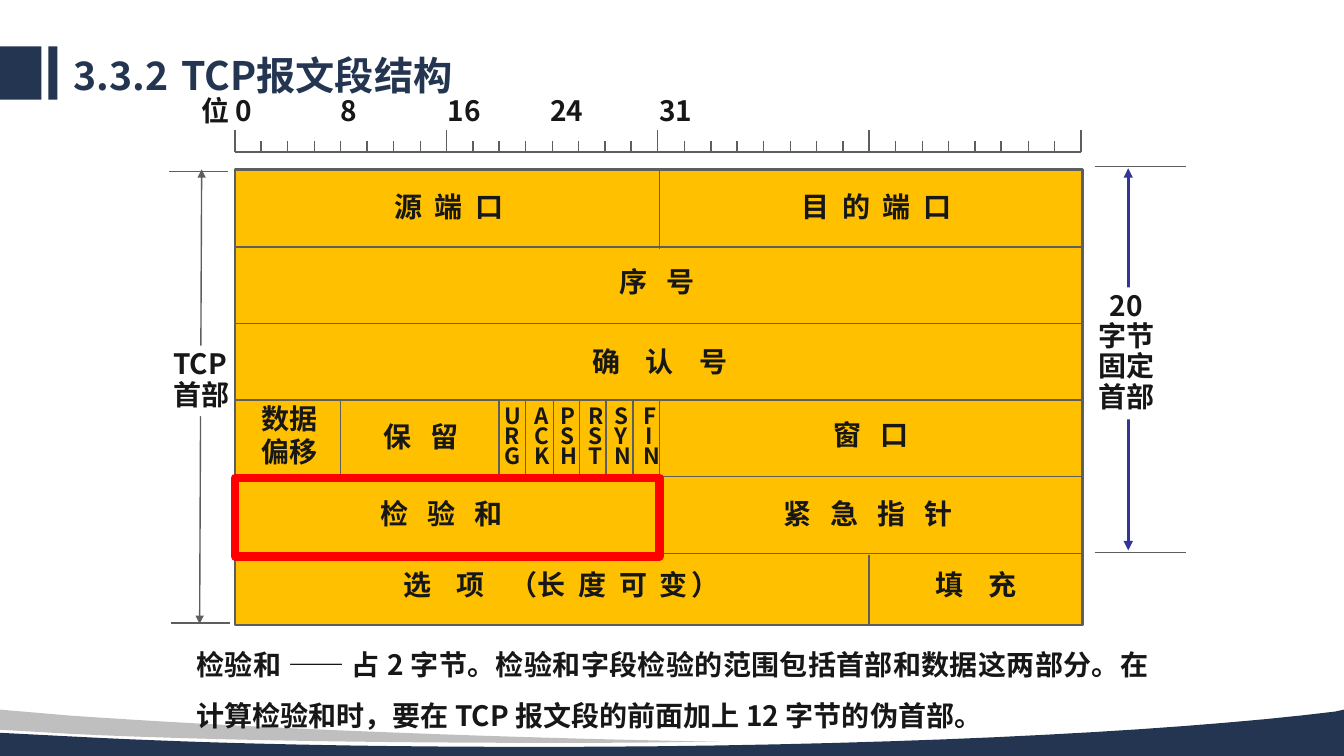
from lxml import etree
from pptx import Presentation
from pptx.dml.color import RGBColor
from pptx.enum.shapes import MSO_CONNECTOR, MSO_SHAPE
from pptx.enum.text import MSO_ANCHOR, MSO_AUTO_SIZE, PP_ALIGN
from pptx.oxml.ns import qn
from pptx.util import Pt

STRAIGHT = MSO_CONNECTOR.STRAIGHT
RECT = MSO_SHAPE.RECTANGLE
LEFT, CENTER, JUSTIFY = PP_ALIGN.LEFT, PP_ALIGN.CENTER, PP_ALIGN.JUSTIFY
TOP, MIDDLE = MSO_ANCHOR.TOP, MSO_ANCHOR.MIDDLE
FIT = MSO_AUTO_SIZE.SHAPE_TO_FIT_TEXT
PX = 9144
NAVY, SILVER, WHITE, GOLD = "243551", "BFBFBF", "FFFFFF", "FFC000"
GRAY, INK, BLUE, RED = "5E5E5E", "171717", "333399", "FF0000"
BODY_FONT, TITLE_FONT = "Noto Sans CJK JP", "Noto Sans CJK SC"


def px(n):
    return round(n * PX)


def rgb(value):
    return RGBColor.from_string(value)


def bezier(a, b, c, d, steps=16):
    ts = [i / steps for i in range(1, steps + 1)]
    return [tuple((1 - t) ** 3 * a[k] + 3 * t * (1 - t) ** 2 * b[k]
                  + 3 * t * t * (1 - t) * c[k] + t ** 3 * d[k] for k in (0, 1))
            for t in ts]


class Deck:
    """Holds the style and the current slide, and draws each kind of element."""

    def __init__(self):
        self.prs = Presentation()
        self.prs.slide_width, self.prs.slide_height = px(1333), px(750)
        self.s = self.prs.slides.add_slide(self.prs.slide_layouts[5])

    def paint(self, sp, fill=None, line=None, weight=1):
        sp.shadow.inherit = False
        if fill:
            sp.fill.solid()
            sp.fill.fore_color.rgb = rgb(fill)
        else:
            sp.fill.background()
        if line:
            sp.line.color.rgb = rgb(line)
            sp.line.width = Pt(weight)
        else:
            sp.line.fill.background()

    def rect(self, x, y, w, h, fill=None, line=None, weight=1):
        sp = self.s.shapes.add_shape(RECT, px(x), px(y), px(w), px(h))
        self.paint(sp, fill, line, weight)
        return sp

    def outline(self, points, fill):
        (x, y), *rest = [(px(a), px(b)) for a, b in points]
        builder = self.s.shapes.build_freeform(x, y, scale=1.0)
        builder.add_line_segments(rest, close=True)
        self.paint(builder.convert_to_shape(), fill)

    def line(self, x1, y1, x2, y2, color=GRAY, weight=1, arrows=False):
        c = self.s.shapes.add_connector(STRAIGHT, px(x1), px(y1), px(x2), px(y2))
        c.line.color.rgb = rgb(color)
        c.line.width = Pt(weight)
        if arrows:
            ln = c.line._get_or_add_ln()
            for tag in ("a:headEnd", "a:tailEnd"):
                etree.SubElement(ln, qn(tag), type="triangle")
        etree.SubElement(c._element.spPr, qn("a:effectLst"))

    def set_text(self, sp, paras, size=20, align=LEFT, spacing=None, wrap=False,
                 color=INK, font=BODY_FONT, anchor=TOP, tabs=()):
        tf = sp.text_frame
        tf.word_wrap = wrap
        tf.auto_size = FIT
        tf.vertical_anchor = anchor
        for i, runs in enumerate(paras):
            p = tf.add_paragraph() if i else tf.paragraphs[0]
            p.alignment = align
            if spacing:
                p.line_spacing = spacing
            if tabs:
                tab_list = etree.SubElement(p._p.get_or_add_pPr(), qn("a:tabLst"))
                for pos in tabs:
                    etree.SubElement(tab_list, qn("a:tab"), pos=str(px(pos)), algn="l")
            for text, gap in runs:
                r = p.add_run()
                r.text = text
                r.font.size, r.font.bold, r.font.name = Pt(size), True, font
                r.font.color.rgb = rgb(color)
                rPr = r._r.get_or_add_rPr()
                rPr.set("lang", "zh-CN")
                if gap > 1:
                    rPr.set("spc", str(round((gap - 1) * size * 11.25)))
                etree.SubElement(rPr, qn("a:ea"), typeface=font)

    def text(self, x, y, w, h, paras, **style):
        sp = self.s.shapes.add_textbox(px(x), px(y), px(w), px(h))
        self.set_text(sp, paras, **style)

    def title(self, x, y, w, h, runs):
        sp = self.s.shapes.title
        sp.left, sp.top, sp.width, sp.height = px(x), px(y), px(w), px(h)
        self.set_text(sp, [runs], size=28, spacing=0.9, wrap=True, color=NAVY,
                      font=TITLE_FONT, anchor=MIDDLE)


def lines(*words):
    return [[(word, 1)] for word in words]


def draw_theme(d):
    d.rect(0, 46, 41, 53, NAVY)
    d.rect(48, 46, 9, 53, NAVY)
    d.outline([(1333, 704), (1333, 750), (0, 750), (0, 727), (77, 731)]
              + bezier((77, 731), (212, 738), (367, 741), (532, 741))
              + bezier((532, 741), (862, 741), (1153, 727), (1324, 706)), NAVY)
    d.outline([(0, 704), (70, 710)]
              + bezier((70, 710), (229, 721), (417, 729), (622, 734))
              + [(715, 736), (684, 736)]
              + bezier((684, 736), (640, 737), (594, 737), (548, 737))
              + bezier((548, 737), (361, 737), (192, 734), (69, 728))
              + [(0, 724)], SILVER)


def draw_extents(d):
    d.line(200, 168, 198, 619, arrows=True)
    d.set_text(d.rect(162, 343, 76, 70, WHITE), lines("TCP", "首部"), spacing=0.9)
    d.line(1119, 167, 1119, 546, BLUE, 2.25, arrows=True)
    d.set_text(d.rect(1079, 285, 76, 131, WHITE),
               lines("20", "字节", "固定", "首部"), align=CENTER, spacing=0.9)
    for x, y, length in ((1086, 165, 90), (1086, 548, 90), (168, 170, 58), (170, 618, 58)):
        d.line(x, y, x + length, y)


def draw_ruler(d):
    left, right, base, bits = 233, 1072, 151, 32
    d.line(left, base, right, base)
    for i in range(bits + 1):
        x = round(left + i * (right - left) / bits)
        d.line(x, base - (11 if i % 8 else 22), x, base)
    d.text(190, 88, 875, 43, lines("位 0\t8\t16\t24\t31"), wrap=True,
           tabs=(138, 244, 346, 454))


def draw_header(d):
    d.rect(233, 168, 841, 452, GOLD, GRAY, 2)
    for i in range(5):
        y = 245 + 76 * i
        d.line(233, y, 1074, y)
    for x, top, bottom in ((654, 169, 247), (654, 398, 548), (862, 551, 621)):
        d.line(x, top, x, bottom)
    for x in (338, 495, 521, 549, 575, 601, 628):
        d.line(x, 398, x, 473)
    fields = (
        (381, 183, 160, "源 端 口", 2, False),
        (785, 183, 216, "目 的 端 口", 2, False),
        (605, 258, 151, "序 号", 3, True),
        (578, 337, 389, "确 认 号", 4, True),
        (371, 411, 118, "保 留", 3, False),
        (817, 409, 118, "窗 口", 3, False),
        (368, 488, 188, "检 验 和", 3, False),
        (767, 488, 258, "紧 急 指 针", 3, False),
        (918, 558, 137, "填 充", 4, True),
    )
    for x, y, w, name, gap, wrap in fields:
        d.text(x, y, w, 43, [[(name, gap)]], wrap=wrap)
    d.text(390, 558, 472, 43,
           [[("选 项 ", 4), ("（", 1), ("长 度 可 变", 2), ("）", 1)]], wrap=True)
    d.text(250, 393, 76, 77, lines("数据", "偏移"))
    flags = {"URG": 491, "ACK": 520, "PSH": 546, "RST": 574, "SYN": 600, "FIN": 628}
    for flag, x in flags.items():
        d.text(x, 400, 31, 70, lines(*flag), size=16, spacing=0.75,
               align=CENTER if flag == "FIN" else LEFT)
    d.rect(233, 474, 421, 78, line=RED, weight=6)


def main():
    d = Deck()
    draw_theme(d)
    d.title(63, 51, 998, 52, [("3.3.2", 1), (" ", 2), ("TCP报文段结构", 1)])
    draw_extents(d)
    draw_header(d)
    draw_ruler(d)
    d.text(185, 621, 964, 111,
           lines("检验和 —— 占 2 字节。检验和字段检验的范围包括首部和数据这两部分。"
                 "在计算检验和时，要在 TCP 报文段的前面加上 12 字节的伪首部。"),
           align=JUSTIFY, spacing=1.5, wrap=True)
    d.prs.save("out.pptx")


if __name__ == "__main__":
    main()
